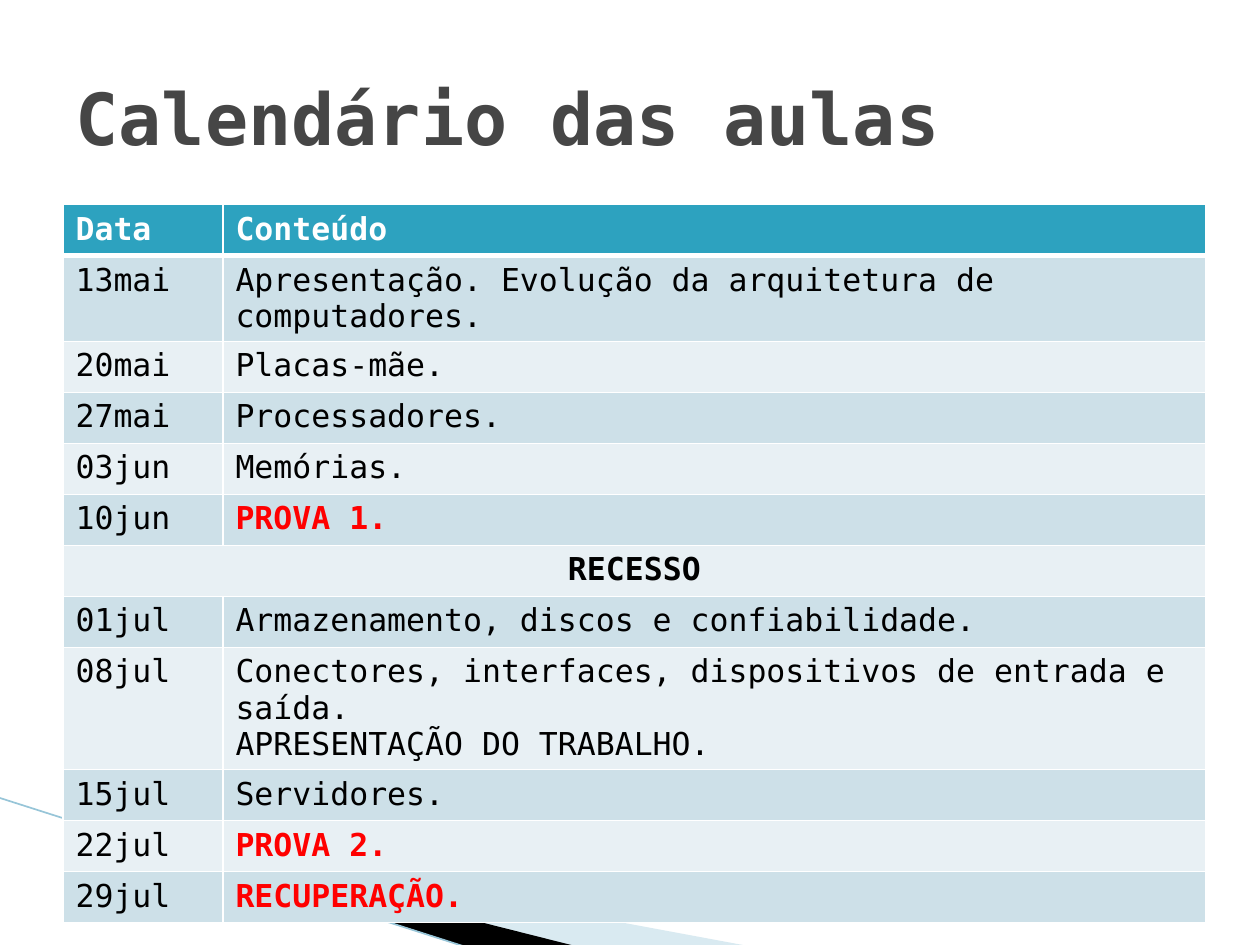
"""Build the class calendar slide."""
from lxml.etree import SubElement
from pptx import Presentation
from pptx.dml.color import RGBColor
from pptx.enum.shapes import MSO_CONNECTOR
from pptx.enum.text import MSO_ANCHOR, MSO_AUTO_SIZE, PP_ALIGN
from pptx.oxml import parse_xml
from pptx.oxml.ns import nsdecls, qn
from pptx.util import Pt

THEME = {
    "font": "DejaVu Sans Mono", "title_size": 41, "body_size": 18,
    "title": "464646", "header_text": "FFFFFF", "text": "000000", "exam": "FF0000",
    "header": "2DA2BF", "bands": ("E8F0F4", "CDE0E8"), "border": "FFFFFF",
    "ribbon": "A0CBDC", "shadow": "000000", "edge": "97C5D8",
}
TITLE = "Calendário das aulas"
HEADER = ("Data", "Conteúdo")
BREAK = "RECESSO"
EXAMS = {"PROVA 1.", "PROVA 2.", "RECUPERAÇÃO."}
CLASSES = [
    ("13mai", "Apresentação. Evolução da arquitetura de computadores."),
    ("20mai", "Placas-mãe."),
    ("27mai", "Processadores."),
    ("03jun", "Memórias."),
    ("10jun", "PROVA 1."),
    (BREAK, ""),
    ("01jul", "Armazenamento, discos e confiabilidade."),
    ("08jul", "Conectores, interfaces, dispositivos de entrada e saída.\n"
              "APRESENTAÇÃO DO TRABALHO."),
    ("15jul", "Servidores."),
    ("22jul", "PROVA 2."),
    ("29jul", "RECUPERAÇÃO."),
]
RIBBONS = [
    ("ribbon", 40, [(39.6, 468.5), (428.4, 540.7), (328.3, 540.7), (39.6, 468)]),
    ("shadow", 100, [(38.2, 467.3), (329, 540.7), (267.8, 541.4), (38.9, 468)]),
]
EDGE = (-0.7, 455.8, 267.1, 541.4)
TITLE_BOX = {"left": 36, "top": 21.6, "width": 648, "height": 90}
TABLE_LEFT, TABLE_TOP = 36, 116.9
COLUMN_WIDTHS = (91.4, 561.6)
ROW_HEIGHT = 29.15


def color(key):
    return RGBColor.from_string(THEME.get(key, key))


def style_font(font, size, fill, bold):
    for name, value in {"name": THEME["font"], "size": Pt(size), "bold": bold}.items():
        setattr(font, name, value)
    font.color.rgb = color(fill)


def add_title(slide):
    title = slide.shapes.title
    for name, value in TITLE_BOX.items():
        setattr(title, name, Pt(value))
    frame = title.text_frame
    frame.text = TITLE
    for name, value in {"word_wrap": True, "auto_size": MSO_AUTO_SIZE.NONE,
                        "vertical_anchor": MSO_ANCHOR.MIDDLE}.items():
        setattr(frame, name, value)
    heading = frame.paragraphs[0]
    heading.alignment = PP_ALIGN.LEFT
    style_font(heading.runs[0].font, THEME["title_size"], "title", True)


def add_ribbon(slide, fill, opacity, points):
    corners = [(Pt(x), Pt(y)) for x, y in points]
    builder = slide.shapes.build_freeform(*corners[0])
    builder.add_line_segments(corners[1:], close=True)
    ribbon = builder.convert_to_shape()
    ribbon.shadow.inherit = False
    ribbon.line.fill.background()
    ribbon.fill.solid()
    ribbon.fill.fore_color.rgb = color(fill)
    if opacity < 100:
        tint = next(ribbon.element.spPr.iter(qn("a:srgbClr")))
        SubElement(tint, qn("a:alpha"), val=str(opacity * 1000))


def add_edge(slide):
    edge = slide.shapes.add_connector(MSO_CONNECTOR.STRAIGHT, *map(Pt, EDGE))
    edge.line.width = Pt(0.95)
    edge.line.color.rgb = color("edge")
    SubElement(edge.element.spPr, qn("a:effectLst"))


def add_borders(cell, row):
    widths = {"L": 1, "R": 1, "T": 3 if row == 1 else 1, "B": 3 if row == 0 else 1}
    properties = cell._tc.get_or_add_tcPr()
    for position, (side, width) in enumerate(widths.items()):
        properties.insert(position, parse_xml(
            f'<a:ln{side} {nsdecls("a")} w="{Pt(width)}"><a:solidFill>'
            f'<a:srgbClr val="{THEME["border"]}"/></a:solidFill></a:ln{side}>'))


def fill_cell(cell, row, text):
    cell.text = text
    cell.fill.solid()
    cell.fill.fore_color.rgb = color(THEME["bands"][row % 2] if row else "header")
    add_borders(cell, row)
    ink = "exam" if text in EXAMS else "text" if row else "header_text"
    bold = row == 0 or text == BREAK or text in EXAMS
    for paragraph in cell.text_frame.paragraphs:
        paragraph.alignment = PP_ALIGN.CENTER if text == BREAK else PP_ALIGN.LEFT
        style_font(paragraph.font, THEME["body_size"], ink, bold)
        for run in paragraph.runs:
            style_font(run.font, THEME["body_size"], ink, bold)


def add_calendar(slide):
    rows = [HEADER, *CLASSES]
    calendar = slide.shapes.add_table(
        len(rows), len(HEADER), Pt(TABLE_LEFT), Pt(TABLE_TOP),
        Pt(sum(COLUMN_WIDTHS)), Pt(ROW_HEIGHT * len(rows))).table
    for column, width in zip(calendar.columns, COLUMN_WIDTHS):
        column.width = Pt(width)
    for row, texts in enumerate(rows):
        calendar.rows[row].height = Pt(ROW_HEIGHT)
        for column, text in enumerate(texts):
            fill_cell(calendar.cell(row, column), row, text)
        if texts[0] == BREAK:
            calendar.cell(row, 0).merge(calendar.cell(row, 1))


def main():
    presentation = Presentation()
    presentation.slide_width, presentation.slide_height = Pt(720), Pt(540)
    slide = presentation.slides.add_slide(presentation.slide_layouts[5])
    add_title(slide)
    for ribbon in RIBBONS:
        add_ribbon(slide, *ribbon)
    add_edge(slide)
    add_calendar(slide)
    presentation.save("out.pptx")


if __name__ == "__main__":
    main()
